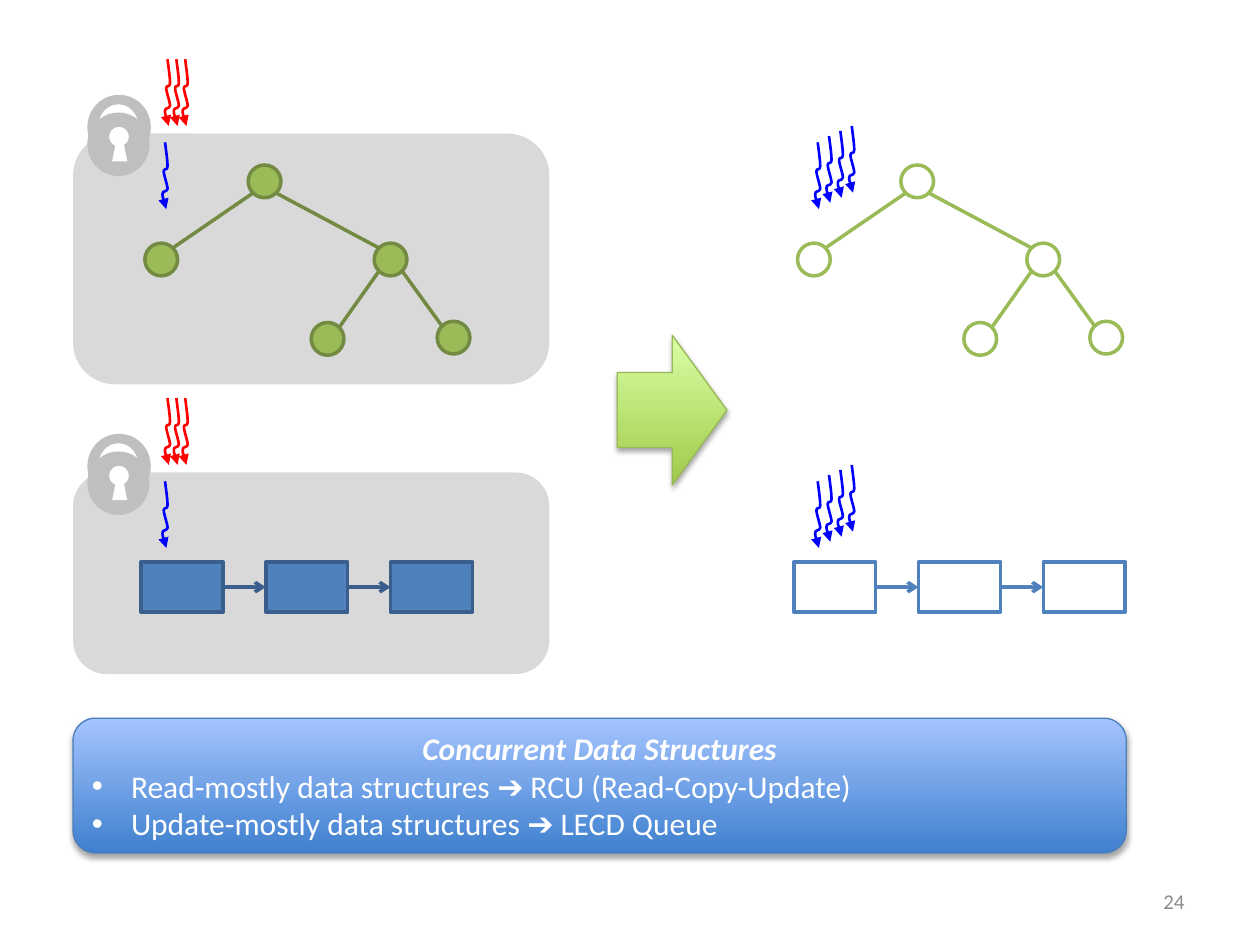
from dataclasses import dataclass
from math import sqrt

from lxml.etree import SubElement
from pptx import Presentation
from pptx.dml.color import RGBColor as Rgb
from pptx.enum.shapes import MSO_CONNECTOR as Link, MSO_SHAPE as Kind
from pptx.enum.text import MSO_ANCHOR as Anchor, PP_ALIGN as Align
from pptx.oxml.ns import qn
from pptx.util import Inches, Pt

HUES = {
    "white": "FFFFFF", "pane": "D9D9D9", "lock": "BFBFBF", "note": "8C8C8C",
    "red": "FF0000", "blue": "0000FF",
    "leaf": "9BBB59", "moss": "738A42", "box": "4F81BD", "navy": "3A5F8C",
    "lime": "DAFFA5", "grass": "A0CA4A", "stem": "98B955",
    "sky": "A4C4FF", "sea": "3F80CE", "rim": "4B7EBC",
}
NODE = 0.26
BOX_W, BOX_H, STEP = 0.65, 0.4, 0.99
SHIFT = 5.18
NODES = [(2.1, 1.44), (1.28, 2.06), (3.1, 2.06), (2.6, 2.69), (3.6, 2.68)]
EDGES = [(0, 1), (0, 2), (2, 3), (2, 4)]
WAVE = [
    (0.01, 0.08), (0.02, 0.15), (0.02, 0.19),
    (0.02, 0.23), (-0.01, 0.2), (-0.01, 0.23),
    (-0.01, 0.26), (0.02, 0.34), (0.02, 0.37),
    (0.01, 0.4), (-0.02, 0.38), (-0.02, 0.41),
    (-0.02, 0.44), (0.01, 0.51), (0.01, 0.53),
]


@dataclass
class Style:
    fill: str
    line: str
    width: float = 2


@dataclass
class Pane:
    top: float
    height: float


SOLID = Style("leaf", "moss")
OPEN = Style("white", "leaf")
FULL = Style("box", "navy")
BARE = Style("white", "box")
PANES = [Pane(3.75, 1.6), Pane(1.06, 1.99)]

deck = Presentation()
deck.slide_width, deck.slide_height = Inches(10), Inches(7.5)
page = deck.slides.add_slide(deck.slide_layouts[6])
shapes = page.shapes


def hue(name: str) -> Rgb:
    return Rgb.from_string(HUES[name])


def trace(line, color: str, width: float) -> None:
    line.color.rgb = hue(color)
    line.width = Pt(width)


def tip(item, kind: str) -> None:
    SubElement(item.line._get_or_add_ln(), qn("a:tailEnd"), type=kind)


def draw(kind, x: float, y: float, w: float, h: float, fill: str,
         line: str = "", width: float = 1):
    item = shapes.add_shape(kind, Inches(x), Inches(y), Inches(w), Inches(h))
    item.shadow.inherit = False
    item.fill.solid()
    item.fill.fore_color.rgb = hue(fill)
    if line:
        trace(item.line, line, width)
    else:
        item.line.fill.background()
    return item


def shade(item, low: str, high: str) -> None:
    item.fill.gradient()
    item.fill.gradient_angle = 90
    for stop, name in zip(item.fill.gradient_stops, (low, high)):
        stop.color.rgb = hue(name)
    fx = item._element.spPr.find(qn("a:effectLst"))
    cast = SubElement(fx, qn("a:outerShdw"), blurRad=str(Pt(3.1)),
                      dist=str(Pt(1.8)), dir="5400000", rotWithShape="0")
    tint = SubElement(cast, qn("a:srgbClr"), val="000000")
    SubElement(tint, qn("a:alpha"), val="35000")


def link(x: float, y: float, to_x: float, to_y: float, color: str,
         head: str = "") -> None:
    item = shapes.add_connector(Link.STRAIGHT, Inches(x), Inches(y),
                                Inches(to_x), Inches(to_y))
    SubElement(item._element.spPr, qn("a:effectLst"))
    trace(item.line, color, 2)
    if head:
        tip(item, head)


def outline(points: list[tuple[float, float]], close: bool):
    dots = [(Inches(x), Inches(y)) for x, y in points]
    form = shapes.build_freeform(*dots[0])
    form.add_line_segments(dots[1:], close=close)
    item = form.convert_to_shape()
    item.shadow.inherit = False
    return item


def wave(x: float, y: float, color: str) -> None:
    item = outline([(x, y)] + [(x + dx, y + dy) for dx, dy in WAVE], False)
    item.fill.background()
    trace(item.line, color, 1.5)
    tip(item, "triangle")
    legs = list(item._element.iter(qn("a:lnTo")))
    route = legs[0].getparent()
    for i in range(0, len(legs), 3):
        curve = SubElement(route, qn("a:cubicBezTo"))
        for leg in legs[i:i + 3]:
            curve.append(leg[0])
            route.remove(leg)


def lock(y: float) -> None:
    draw(Kind.OVAL, 0.7, y, 0.49, 0.5, "lock", "lock")
    draw(Kind.OVAL, 0.77, y + 0.06, 0.34, 0.39, "white", "lock")
    draw(Kind.OVAL, 0.7, y + 0.14, 0.48, 0.49, "lock", "lock")
    draw(Kind.OVAL, 0.86, y + 0.24, 0.17, 0.17, "white", "lock")
    slot = outline([(0.89, y + 0.52), (0.92, y + 0.37),
                    (0.98, y + 0.37), (1.01, y + 0.52)], True)
    slot.fill.solid()
    slot.fill.fore_color.rgb = hue("white")
    slot.line.fill.background()


def tree(dx: float, style: Style) -> None:
    for x, y in NODES:
        draw(Kind.OVAL, x + dx - NODE / 2, y - NODE / 2, NODE, NODE,
             style.fill, style.line, style.width)
    rim = NODE / 2 / sqrt(2)
    for top, low in EDGES:
        (x, y), (to_x, to_y) = NODES[top], NODES[low]
        side = rim if to_x > x else -rim
        link(x + dx + side, y + rim, to_x + dx - side, to_y - rim, style.line)


def chain(x: float, y: float, style: Style) -> None:
    spots = [x + i * STEP for i in range(3)]
    for spot in spots:
        draw(Kind.RECTANGLE, spot, y, BOX_W, BOX_H,
             style.fill, style.line, style.width)
    for spot, goal in zip(spots, spots[1:]):
        link(spot + BOX_W, y + BOX_H / 2, goal, y + BOX_H / 2,
             style.line, "arrow")


def write(para, text: str, size: float = 18, color: str = "white",
          align=Align.LEFT, strong: bool = False, dot: bool = False) -> None:
    para.alignment = align
    run = para.add_run()
    run.text = text
    font = run.font
    font.name, font.size = "Calibri", Pt(size)
    font.bold = font.italic = strong
    font.color.rgb = hue(color)
    if dot:
        props = para._p.get_or_add_pPr()
        props.set("marL", str(Inches(0.31)))
        props.set("indent", str(Inches(-0.31)))
        SubElement(props, qn("a:buFont"), typeface="Arial")
        SubElement(props, qn("a:buChar"), char="•")


def main() -> None:
    note = shapes.add_textbox(Inches(7.17), Inches(6.95),
                              Inches(2.33), Inches(0.4)).text_frame
    note.word_wrap = True
    note.vertical_anchor = Anchor.MIDDLE
    write(note.paragraphs[0], "24", size=12, color="note", align=Align.RIGHT)

    for pane in PANES:
        draw(Kind.ROUNDED_RECTANGLE, 0.58, pane.top, 3.78, pane.height, "pane")
        lock(pane.top - 0.3)
        for x in (1.33, 1.4, 1.47):
            wave(x, pane.top - 0.59, "red")
        wave(1.31, pane.top + 0.07, "blue")
        for x, dy in ((6.58, 0.02), (6.67, -0.02), (6.76, -0.06), (6.49, 0.07)):
            wave(x, pane.top + dy, "blue")

    for dx, style in ((0, SOLID), (SHIFT, OPEN)):
        tree(dx, style)
    for dx, style in ((0, FULL), (SHIFT, BARE)):
        chain(1.12 + dx, 4.46, style)

    arrow = draw(Kind.RIGHT_ARROW, 4.9, 2.66, 0.87, 1.19, "grass", "stem", 0.75)
    shade(arrow, "grass", "lime")

    panel = draw(Kind.ROUNDED_RECTANGLE, 0.58, 5.7, 8.36, 1.07,
                 "sea", "rim", 0.75)
    shade(panel, "sea", "sky")
    frame = panel.text_frame
    frame.word_wrap = True
    frame.vertical_anchor = Anchor.MIDDLE
    write(frame.paragraphs[0], "Concurrent Data Structures",
          align=Align.CENTER, strong=True)
    for text in ("Read-mostly data structures ➔ RCU (Read-Copy-Update)",
                 "Update-mostly data structures ➔ LECD Queue"):
        write(frame.add_paragraph(), text, dot=True)

    deck.save("out.pptx")


if __name__ == "__main__":
    main()
